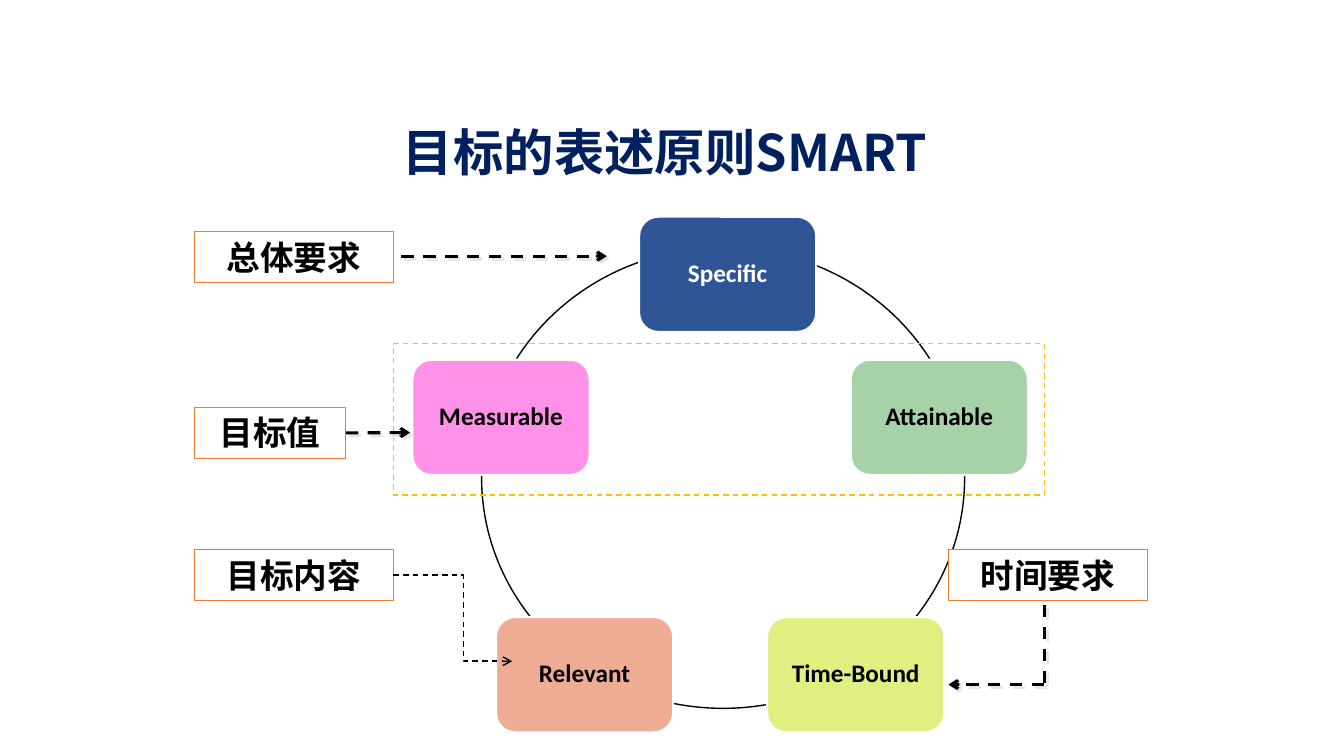
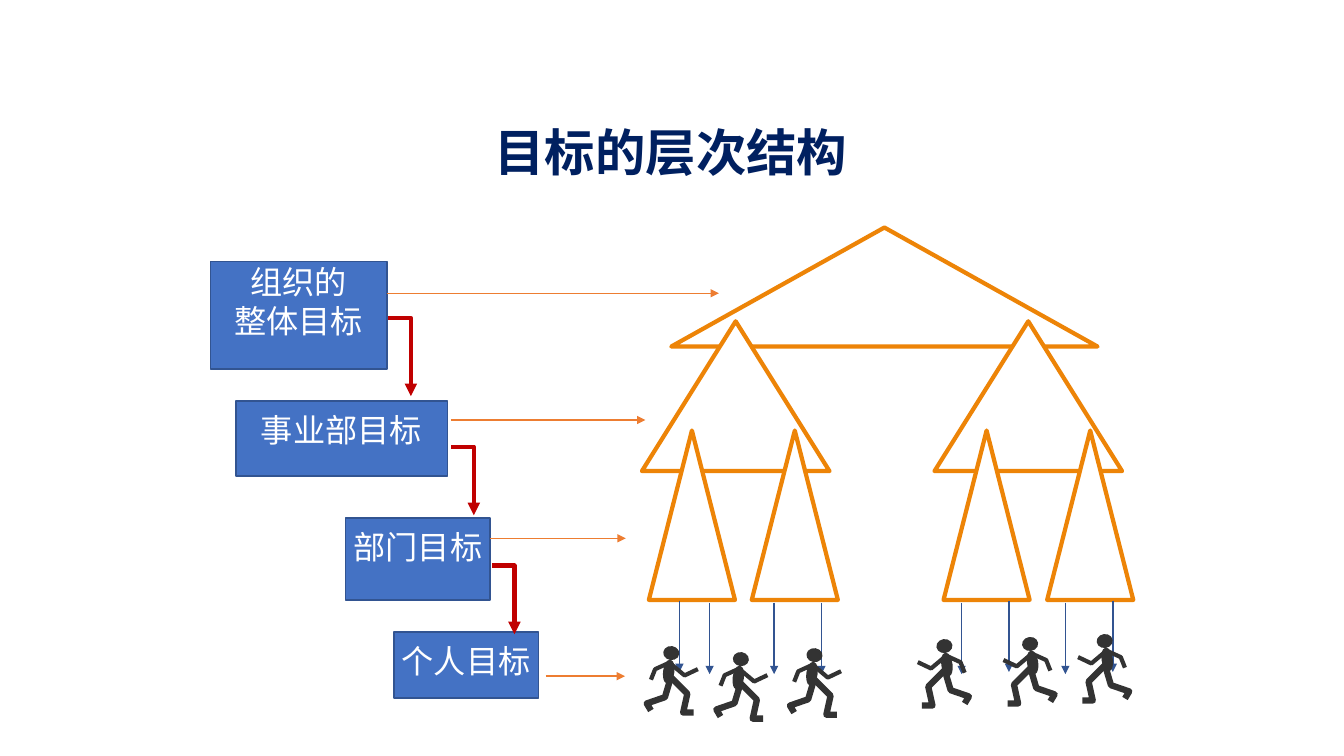
from dataclasses import dataclass

from lxml.etree import SubElement
from pptx import Presentation
from pptx.dml.color import RGBColor
from pptx.enum.dml import MSO_LINE
from pptx.enum.shapes import MSO_CONNECTOR, MSO_SHAPE
from pptx.enum.text import MSO_ANCHOR, PP_ALIGN
from pptx.oxml.ns import qn
from pptx.util import Pt

# Shared look
WHITE = RGBColor(0xFF, 0xFF, 0xFF)
BLACK = RGBColor(0x00, 0x00, 0x00)
NAVY = RGBColor(0x00, 0x20, 0x60)
ORANGE = RGBColor(0xED, 0x7D, 0x31)
AMBER = RGBColor(0xED, 0x84, 0x07)
GOLD = RGBColor(0xFF, 0xC0, 0x00)
BLUE = RGBColor(0x44, 0x72, 0xC4)
DEEP = RGBColor(0x32, 0x54, 0x91)
RED = RGBColor(0xC0, 0x00, 0x00)
GREY = RGBColor(0x33, 0x33, 0x33)
SHADE = RGBColor(0xE7, 0xE6, 0xE6)
ROYAL = RGBColor(0x2F, 0x55, 0x97)
GREEN = RGBColor(0xA7, 0xD1, 0xA7)
LIME = RGBColor(0xE1, 0xEF, 0x80)
PEACH = RGBColor(0xEF, 0xAC, 0x94)
PINK = RGBColor(0xFF, 0x92, 0xE8)
HAN = "Noto Sans CJK SC"
LATIN = "Calibri"

Point = tuple[float, float]


@dataclass
class Card:
    text: str
    x: float
    y: float
    fill: RGBColor
    ink: RGBColor = BLACK


@dataclass
class Label:
    text: str
    x: float
    y: float
    wide: float = 142


@dataclass
class Level:
    text: str
    x: float
    y: float
    wide: float
    high: float
    top: float = 6.5


@dataclass
class Runner:
    x: float
    y: float
    way: int = 1  # 1 faces right, -1 faces left


CARDS = [
    Card("Specific", 456.5, 154.8, ROYAL, WHITE),
    Card("Attainable", 607.7, 257, GREEN),
    Card("Time-Bound", 548, 440.8, LIME),
    Card("Relevant", 354.3, 440.8, PEACH),
    Card("Measurable", 294.6, 257, PINK),
]
LABELS = [
    Label("总体要求", 139, 165.5),
    Label("目标值", 139, 291, 108),
    Label("目标内容", 139, 392.5),
    Label("时间要求", 677.5, 392.5),
]
LEVELS = [
    Level("组织的\n整体目标", 150.5, 187, 126, 76.5, 0.7),
    Level("事业部目标", 168.5, 286.5, 151, 53.5),
    Level("部门目标", 247, 370, 103, 58.5),
    Level("个人目标", 281.5, 451.5, 103, 47),
]
# Tiers of triangles: lefts, top, width, height
TIERS = [
    ([479.5], 162.5, 304.5, 85),
    ([458.5, 667.5], 229.5, 134, 107),
    ([463.5, 537, 674, 748], 307.5, 61.5, 121),
]
RUNNERS = [
    Runner(581.8, 463), Runner(479.5, 461.5), Runner(529.2, 465.8),
    Runner(674.6, 456.5, -1), Runner(789.1, 452.9, -1), Runner(735.8, 455, -1),
]
# Limbs of a runner, measured from the top of the head: points, line width
LIMBS = [
    ([(0, 13), (9.5, 21), (19, 16.5)], 3),
    ([(-0.5, 11.5), (-11.5, 16.5), (-14.5, 24)], 3),
    ([(-0.5, 22), (11.5, 34), (8.5, 47.5), (16, 47.5)], 4.5),
    ([(-0.5, 23), (-4.5, 36.5), (-17.5, 41), (-14.5, 46)], 4.5),
]


def write(shape, text: str, *, size: float, color: RGBColor, font: str = HAN,
          bold: bool = False, anchor=MSO_ANCHOR.TOP, pad=(7.2, 3.6, 7.2, 3.6),
          space: float = 1.0) -> None:
    frame = shape.text_frame
    frame.text = text
    frame.word_wrap = True
    frame.vertical_anchor = anchor
    (frame.margin_left, frame.margin_top,
     frame.margin_right, frame.margin_bottom) = map(Pt, pad)
    for para in frame.paragraphs:
        para.alignment = PP_ALIGN.CENTER
        para.line_spacing = space
        for run in para.runs:
            run.font.size = Pt(size)
            run.font.bold = bold
            run.font.color.rgb = color
            run.font.name = font
            SubElement(run.font._element, qn("a:ea"), typeface=font)


def draw(slide, kind, x: float, y: float, wide: float, high: float, *,
         fill: RGBColor | None = None, line: RGBColor | None = None,
         width: float = 1, dash: bool = False):
    shape = slide.shapes.add_shape(kind, Pt(x), Pt(y), Pt(wide), Pt(high))
    paint(shape, fill, line, width)
    if dash:
        shape.line.dash_style = MSO_LINE.DASH
    return shape


def paint(shape, fill: RGBColor | None, line: RGBColor | None, width: float) -> None:
    shape.shadow.inherit = False
    if fill is None:
        shape.fill.background()
    else:
        shape.fill.solid()
        shape.fill.fore_color.rgb = fill
    if line is None:
        shape.line.fill.background()
    else:
        shape.line.color.rgb = line
        shape.line.width = Pt(width)


def tip(shape, kind: str) -> None:
    SubElement(shape._element.spPr.find(qn("a:ln")), qn("a:tailEnd"), type=kind)


def link(slide, start: Point, end: Point, *, color: RGBColor, width: float = 1,
         dash: bool = False, head: str = "", shade: bool = False,
         bend: float | None = None, source=None):
    kind = MSO_CONNECTOR.STRAIGHT if bend is None else MSO_CONNECTOR.ELBOW
    line = slide.shapes.add_connector(kind, *map(Pt, start + end))
    if source is not None:
        line.begin_connect(source, 3)
    line.line.color.rgb = color
    line.line.width = Pt(width)
    if dash:
        line.line.dash_style = MSO_LINE.DASH
    if head:
        tip(line, head)
    props = line._element.spPr
    effect = SubElement(props, qn("a:effectLst"))
    if shade:
        cast = SubElement(effect, qn("a:outerShdw"), dist=str(Pt(2.8)),
                          dir="2700000", algn="ctr", rotWithShape="0")
        SubElement(cast, qn("a:srgbClr"), val=str(SHADE))
    if bend is not None:
        guides = props.find(qn("a:prstGeom")).find(qn("a:avLst"))
        SubElement(guides, qn("a:gd"), name="adj1", fmla=f"val {round(bend * 100000)}")


def trace(slide, points: list[Point], color: RGBColor, width: float):
    spots = [(Pt(x), Pt(y)) for x, y in points]
    pen = slide.shapes.build_freeform(*spots[0])
    pen.add_line_segments(spots[1:], close=False)
    shape = pen.convert_to_shape()
    paint(shape, None, color, width)
    return shape


def start(deck, title: str):
    slide = deck.slides.add_slide(deck.slide_layouts[5])
    head = slide.shapes.title
    head.left, head.top, head.width, head.height = map(Pt, (135.4, 82.8, 687.6, 51.1))
    write(head, title, size=36, color=NAVY, bold=True)
    return slide


def run(slide, man: Runner) -> None:
    # Head and body: middle, top, width, height
    for mid, top, wide, high in [(0, 0, 11.5, 10), (-1.8, 9.5, 8, 17.5)]:
        part = draw(slide, MSO_SHAPE.OVAL, man.x + man.way * mid - wide / 2,
                    man.y + top, wide, high, fill=GREY)
        part.rotation = man.way * 7.7
    for points, width in LIMBS:
        trace(slide, [(man.x + man.way * x, man.y + y) for x, y in points], GREY, width)


def smart(deck) -> None:
    slide = start(deck, "目标的表述原则SMART ")
    # Ring with five cards
    draw(slide, MSO_SHAPE.OVAL, 344, 177, 345, 329, fill=WHITE, line=BLACK)
    for card in CARDS:
        box = draw(slide, MSO_SHAPE.ROUNDED_RECTANGLE, card.x, card.y, 126.5, 82.3,
                   fill=card.fill, line=WHITE, width=1.5)
        write(box, card.text, size=18, color=card.ink, font=LATIN, bold=True,
              anchor=MSO_ANCHOR.MIDDLE, pad=(9.4,) * 4, space=0.9)
    # Labels and frame
    boxes = {}
    for label in LABELS:
        box = draw(slide, MSO_SHAPE.RECTANGLE, label.x, label.y, label.wide, 36.5,
                   fill=WHITE, line=ORANGE)
        write(box, label.text, size=24, color=BLACK, bold=True)
        boxes[label.text] = box
    draw(slide, MSO_SHAPE.RECTANGLE, 281, 245.5, 465, 108, line=GOLD, dash=True)
    # Dashed arrows
    for begin, end, head, source in [
        ((286.5, 183), (433.5, 183), "arrow", None),
        ((247, 309), (293, 309), "arrow", boxes["目标值"]),
        ((746, 432), (746, 489), "", None),
        ((746, 489), (677.5, 489), "arrow", None),
    ]:
        link(slide, begin, end, color=BLACK, width=2.25, dash=True, head=head,
             shade=True, source=source)
    link(slide, (281, 411), (365.8, 472.3), color=BLACK, dash=True, head="arrow",
         bend=0.59, source=boxes["目标内容"])


def tree(deck) -> None:
    slide = start(deck, "目标的层次结构")
    # Levels of goals
    for level in LEVELS:
        box = draw(slide, MSO_SHAPE.RECTANGLE, level.x, level.y, level.wide, level.high,
                   fill=BLUE, line=DEEP)
        write(box, level.text, size=23, color=WHITE, pad=(0, level.top, 0, 0))
    # Red steps down
    for x, y, drop in [(277.5, 227, 56), (322.5, 319, 49), (351.5, 404, 49)]:
        step = trace(slide, [(x, y), (x + 16, y), (x + 16, y + drop)], RED, 3)
        tip(step, "triangle")
    # Triangles
    for lefts, top, wide, high in TIERS:
        for x in lefts:
            draw(slide, MSO_SHAPE.ISOSCELES_TRIANGLE, x, top, wide, high,
                 fill=WHITE, line=AMBER, width=3)
    # Arrows down to the runners
    for x, y in [(485.3, 429), (506.9, 430.5), (553, 430.5), (586.8, 430.5),
                 (686.9, 430.5), (720.7, 429), (761, 430.5), (794.9, 429)]:
        link(slide, (x, y), (x, y + 51), color=DEEP, head="triangle")
    # Arrows across from the levels
    for x, end, y in [(276.5, 513.5, 209.5), (322, 461, 300),
                      (350, 447, 384.5), (390, 446.5, 483)]:
        link(slide, (x, y), (end, y), color=ORANGE, head="triangle")
    for man in RUNNERS:
        run(slide, man)


def main() -> None:
    deck = Presentation()
    deck.slide_width, deck.slide_height = Pt(960), Pt(540)
    smart(deck)
    tree(deck)
    deck.save("out.pptx")


if __name__ == "__main__":
    main()
